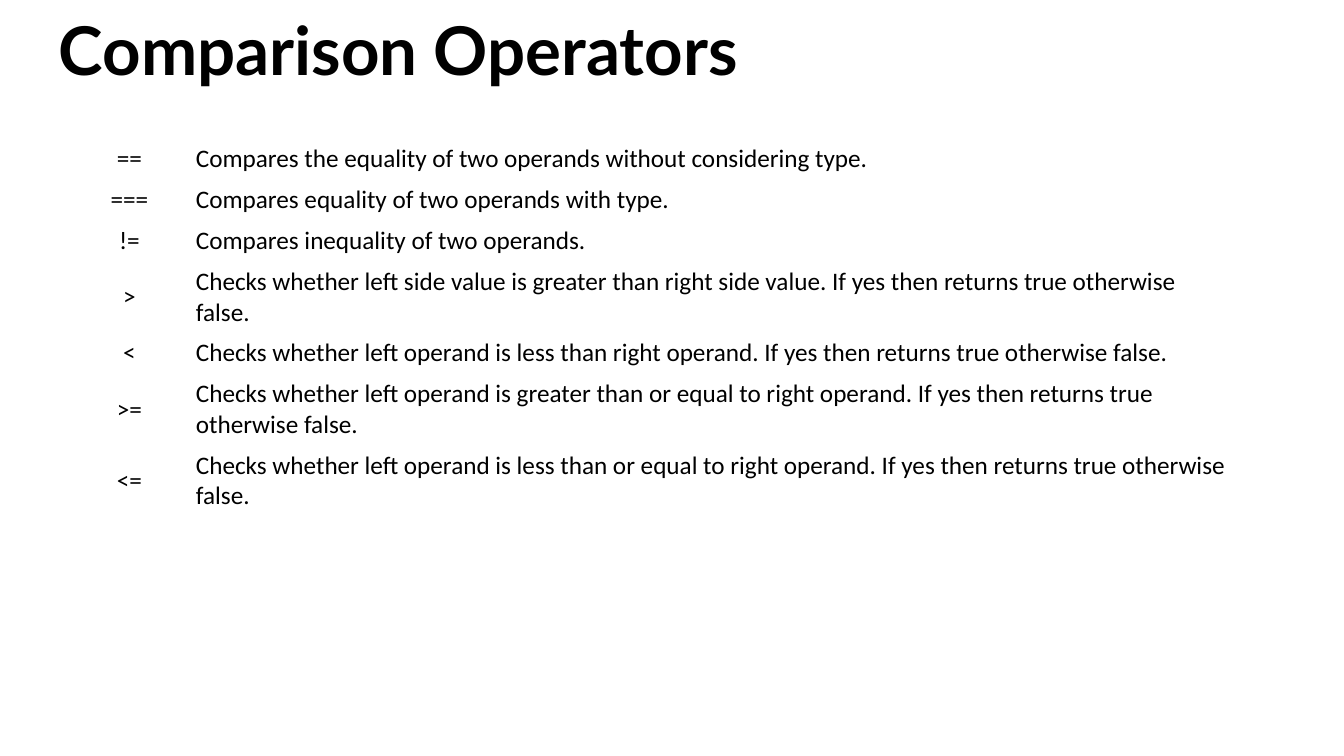
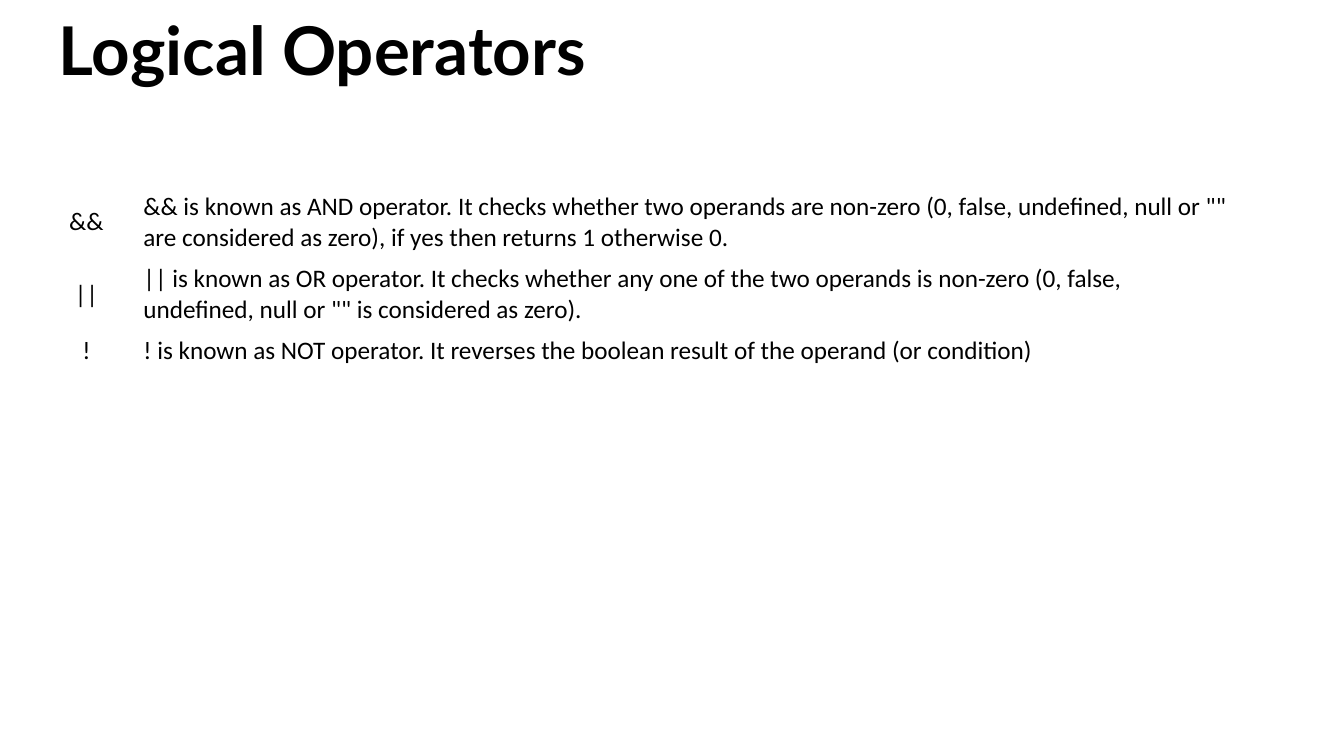
"""Build two slides that list comparison and logical operators."""
import pptx
import pptx.dml.color
import pptx.enum.text
import pptx.util

PX = 9525
COLORS = {"paper": "FFFFFF", "ink": "000000"}
TITLE_FONT, BODY_FONT = "Lato", "Calibri"
ONE_LINE = 39

COMPARISONS = [
    ("== ", "Compares the equality of two operands without considering type.", 1),
    ("=== ", "Compares equality of two operands with type.", 1),
    ("!= ", "Compares inequality of two operands.", 1),
    ("> ", "Checks whether left side value is greater than right side value. "
           "If yes then returns true otherwise false.", 2),
    ("< ", "Checks whether left operand is less than right operand. "
           "If yes then returns true otherwise false.", 1),
    (">= ", "Checks whether left operand is greater than or equal to right operand. "
            "If yes then returns true otherwise false.", 2),
    ("<= ", "Checks whether left operand is less than or equal to right operand. "
            "If yes then returns true otherwise false.", 2),
]
LOGICALS = [
    ("&& ", "&& is known as AND operator. It checks whether two operands are non-zero "
            "(0, false, undefined, null or \"\" are considered as zero), "
            "if yes then returns 1 otherwise 0.", 2),
    ("|| ", "|| is known as OR operator. It checks whether any one of the two operands "
            "is non-zero (0, false, undefined, null or \"\" is considered as zero).", 2),
    ("! ", "! is known as NOT operator. It reverses the boolean result of the operand "
           "(or condition)", 1),
]


def px(length):
    """Turn px into EMU."""
    return pptx.util.Emu(length * PX)


def color(name):
    """Look up a colour by its name."""
    return pptx.dml.color.RGBColor.from_string(COLORS[name])


def add_run(paragraph, text, font, size, bold=False):
    """Add one styled run to a paragraph."""
    run = paragraph.add_run()
    run.text = text
    run.font.name = font
    run.font.size = pptx.util.Pt(size)
    run.font.bold = bold
    run.font.color.rgb = color("ink")


def add_titled_slide(deck, title):
    """Add a blank slide with the shared background and title."""
    slide = deck.slides.add_slide(deck.slide_layouts[6])
    slide.background.fill.solid()
    slide.background.fill.fore_color.rgb = color("paper")
    heading = slide.shapes.add_textbox(px(56), px(12), px(974), px(80)).text_frame
    heading.word_wrap = True
    heading.margin_left = 0
    paragraph = heading.paragraphs[0]
    paragraph.line_spacing = 0.9
    paragraph.space_before = pptx.util.Pt(10)
    add_run(paragraph, title, TITLE_FONT, 48, bold=True)
    return slide


def fill_cell(cell, text, align):
    """Write text into a clear, vertically centred cell."""
    cell.fill.background()
    cell.vertical_anchor = pptx.enum.text.MSO_ANCHOR.MIDDLE
    paragraph = cell.text_frame.paragraphs[0]
    paragraph.alignment = align
    add_run(paragraph, text, BODY_FONT, 18)


def add_operator_table(slide, operators, left, top, widths, two_lines):
    """Add a table of operators and their meanings."""
    heights = [ONE_LINE if lines == 1 else two_lines for _, _, lines in operators]
    table = slide.shapes.add_table(
        len(operators), len(widths), px(left), px(top),
        px(sum(widths)), px(sum(heights))).table
    table.first_row = False
    table.horz_banding = False
    for column, width in zip(table.columns, widths):
        column.width = px(width)
    for row, height, (symbol, meaning, _) in zip(table.rows, heights, operators):
        row.height = px(height)
        fill_cell(row.cells[0], symbol, pptx.enum.text.PP_ALIGN.CENTER)
        fill_cell(row.cells[1], meaning, pptx.enum.text.PP_ALIGN.LEFT)


def main():
    """Build and save the slides."""
    deck = pptx.Presentation()
    deck.slide_width, deck.slide_height = px(1280), px(720)
    comparison = add_titled_slide(deck, "Comparison Operators")
    add_operator_table(comparison, COMPARISONS, 75, 132, (102, 1002), 68)
    logical = add_titled_slide(deck, "Logical Operators")
    add_operator_table(logical, LOGICALS, 43, 177, (84, 1059), 69)
    deck.save("out.pptx")


if __name__ == "__main__":
    main()
